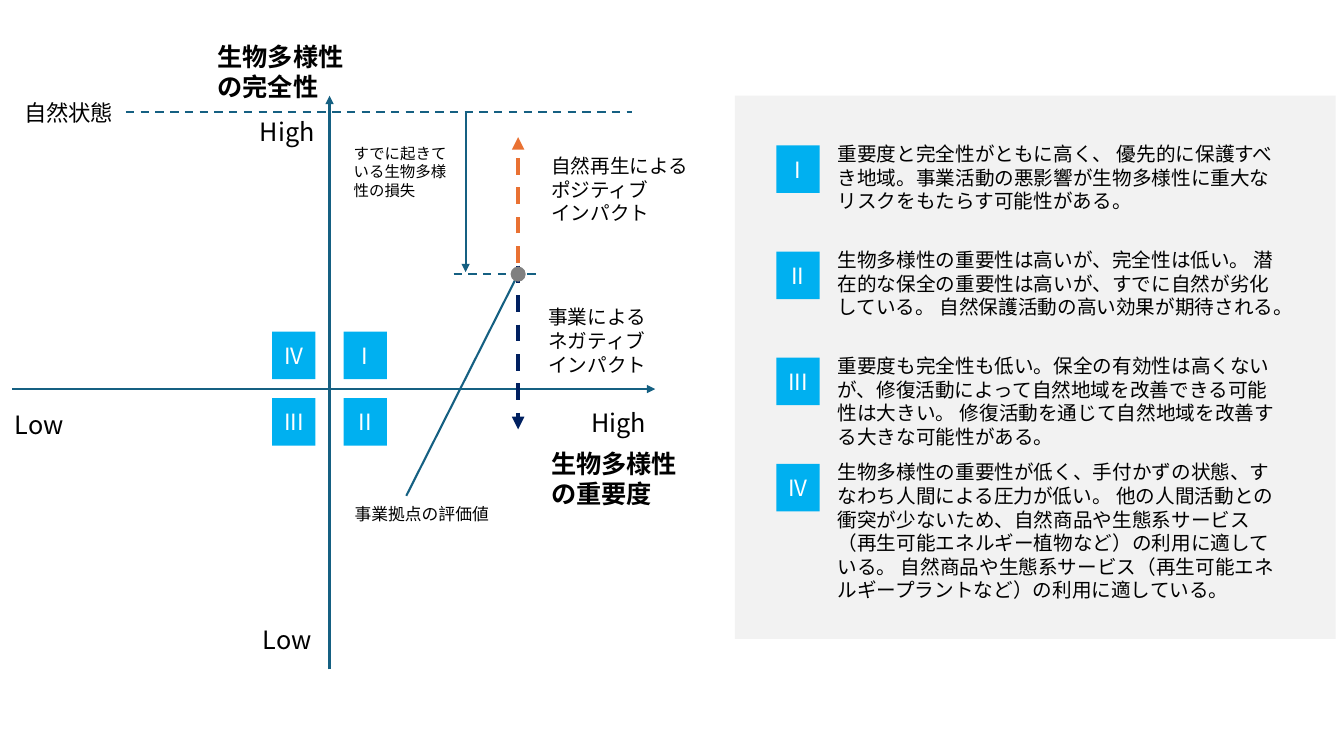
from lxml import etree
from pptx import Presentation
from pptx.dml.color import RGBColor
from pptx.enum.dml import MSO_LINE
from pptx.enum.shapes import MSO_CONNECTOR, MSO_SHAPE
from pptx.enum.text import MSO_ANCHOR, MSO_AUTO_SIZE, PP_ALIGN
from pptx.oxml.ns import qn
from pptx.util import Pt

RECT, OVAL = MSO_SHAPE.RECTANGLE, MSO_SHAPE.OVAL
STRAIGHT, DASH = MSO_CONNECTOR.STRAIGHT, MSO_LINE.DASH
MIDDLE, CENTER = MSO_ANCHOR.MIDDLE, PP_ALIGN.CENTER
GROW = MSO_AUTO_SIZE.SHAPE_TO_FIT_TEXT

FONT = "Noto Sans CJK JP"
BLACK, WHITE, GRAY, PALE = "000000", "FFFFFF", "808080", "F2F2F2"
TEAL, SKY, ORANGE, NAVY = "156082", "00B0F0", "E97132", "002060"
TILE_W, TILE_H = 31, 34

ZONES = [
    ("I", "重要度と完全性がともに高く、 優先的に保護すべき地域。事業活動の悪影響が"
          "生物多様性に重大なリスクをもたらす可能性がある。", 58),
    ("II", "生物多様性の重要性は高いが、完全性は低い。 潜在的な保全の重要性は高いが、"
           "すでに自然が劣化している。 自然保護活動の高い効果が期待される。", 58),
    ("III", "重要度も完全性も低い。保全の有効性は高くないが、修復活動によって自然地域を"
            "改善できる可能性は大きい。 修復活動を通じて自然地域を改善する大きな可能性がある。", 75),
    ("IV", "生物多様性の重要性が低く、手付かずの状態、すなわち人間による圧力が低い。 "
           "他の人間活動との衝突が少ないため、自然商品や生態系サービス"
           "（再生可能エネルギー植物など）の利用に適している。 自然商品や生態系サービス"
           "（再生可能エネルギープラントなど）の利用に適している。", 109),
]


def rgb(color):
    return RGBColor.from_string(color)


def add_run(p, text, size, color=BLACK, bold=False, font=FONT):
    r = p.add_run()
    r.text = text
    r.font.size = Pt(size)
    r.font.bold = bold
    r.font.name = font
    r.font.color.rgb = rgb(color)
    ea = etree.SubElement(r.font._element, qn("a:ea"))
    ea.set("typeface", font)


def add_text(s, x, y, w, h, lines, size, bold=False, wrap=True, font=FONT):
    tf = s.shapes.add_textbox(Pt(x), Pt(y), Pt(w), Pt(h)).text_frame
    tf.word_wrap = wrap
    tf.auto_size = GROW
    for i, line in enumerate(lines):
        p = tf.add_paragraph() if i else tf.paragraphs[0]
        add_run(p, line, size, bold=bold, font=font)


def add_block(s, kind, x, y, w, h, fill):
    sp = s.shapes.add_shape(kind, Pt(x), Pt(y), Pt(w), Pt(h))
    sp.shadow.inherit = False
    sp.fill.solid()
    sp.fill.fore_color.rgb = rgb(fill)
    sp.line.fill.background()
    return sp


def add_tile(s, x, y, numeral):
    tf = add_block(s, RECT, x, y, TILE_W, TILE_H, SKY).text_frame
    tf.margin_left = tf.margin_right = 0
    tf.word_wrap = False
    tf.vertical_anchor = MIDDLE
    p = tf.paragraphs[0]
    p.alignment = CENTER
    add_run(p, numeral, 16, WHITE)


def add_line(s, x1, y1, x2, y2, color=TEAL, width=1.5, dash=False, arrow=False):
    line = s.shapes.add_connector(STRAIGHT, Pt(x1), Pt(y1), Pt(x2), Pt(y2))
    line.line.color.rgb = rgb(color)
    line.line.width = Pt(width)
    if dash:
        line.line.dash_style = DASH
    if arrow:
        tail = etree.SubElement(line.line._get_or_add_ln(), qn("a:tailEnd"))
        tail.set("type", "triangle")
    etree.SubElement(line._element.spPr, qn("a:effectLst"))


def draw_matrix(s, x, y, w, h):
    cx, cy = x + 226.8, y + 209.5
    site_x, site_y = x + 361.5, y + 127.4
    natural_y = y + 11.5

    add_line(s, x, cy, x + w, cy, arrow=True)
    add_line(s, cx, y + h, cx, y, arrow=True)
    for numeral, dx, dy in [("I", 10, -41), ("II", 10, 6.5),
                            ("IV", -41, -41), ("III", -41, 6.5)]:
        add_tile(s, cx + dx, cy + dy, numeral)

    add_text(s, x + 378, y + 248.4, 105, 51, ["生物多様性", "の重要度"], 18, True, False)
    add_text(s, x + 139.7, y - 42.5, 104.4, 51, ["生物多様性の完全性"], 18, True)
    for word, dx, dy, tw in [("High", 406.8, 218.9, 53.3), ("Low", -5, 220.3, 49.7),
                             ("High", 170, 11.5, 53.3), ("Low", 172, 373.7, 49.7)]:
        add_text(s, x + dx, y + dy, tw, 28.8, [word], 18, wrap=False)

    add_line(s, site_x, site_y - 8, site_x, y + 29.5, ORANGE, 3, True, True)
    add_text(s, x + 378, y + 38.2, 159, 58,
             ["自然再生による", "ポジティブ", "インパクト"], 14)
    add_line(s, site_x, site_y, x + 281.6, y + 285.8)
    add_text(s, x + 237.6, y + 288, 111.6, 21.6, ["事業拠点の評価値"], 12, wrap=False)
    add_line(s, site_x, site_y - 6, site_x, y + 238.3, NAVY, 3, True, True)
    add_text(s, x + 376, y + 146.2, 159, 58,
             ["事業による", "ネガティブ", "インパクト"], 14)

    add_line(s, x + 81.4, natural_y, x + 442.8, natural_y, dash=True)
    add_text(s, x + 1.5, y - 1.4, 79.2, 26.6, ["自然状態"], 16, wrap=False)
    add_line(s, x + 324, natural_y, x + 324, site_y - 1.4, arrow=True)
    add_line(s, x + 315.4, site_y, x + 378, site_y, dash=True)
    add_text(s, x + 237, y + 31, 81.4, 47.5,
             ["すでに起きている生物多様性の損失"], 11, font="Roboto")
    add_block(s, OVAL, site_x - 5.4, site_y - 5.4, 10.8, 10.8, GRAY)


def draw_legend(s, x, y, w, h):
    add_block(s, RECT, x, y, w, h, PALE)
    for i, (numeral, text, text_h) in enumerate(ZONES):
        top = y + 29.5 + i * 75.8
        add_tile(s, x + 29.5, top + 6, numeral)
        add_text(s, x + 66.2, top, 332.6, text_h, [text], 14)


def main():
    prs = Presentation()
    prs.slide_width, prs.slide_height = Pt(960), Pt(540)
    s = prs.slides.add_slide(prs.slide_layouts[6])
    draw_legend(s, 525, 68.4, 429, 388)
    draw_matrix(s, 8.6, 68.4, 459.4, 409.7)
    prs.save("out.pptx")


if __name__ == "__main__":
    main()
